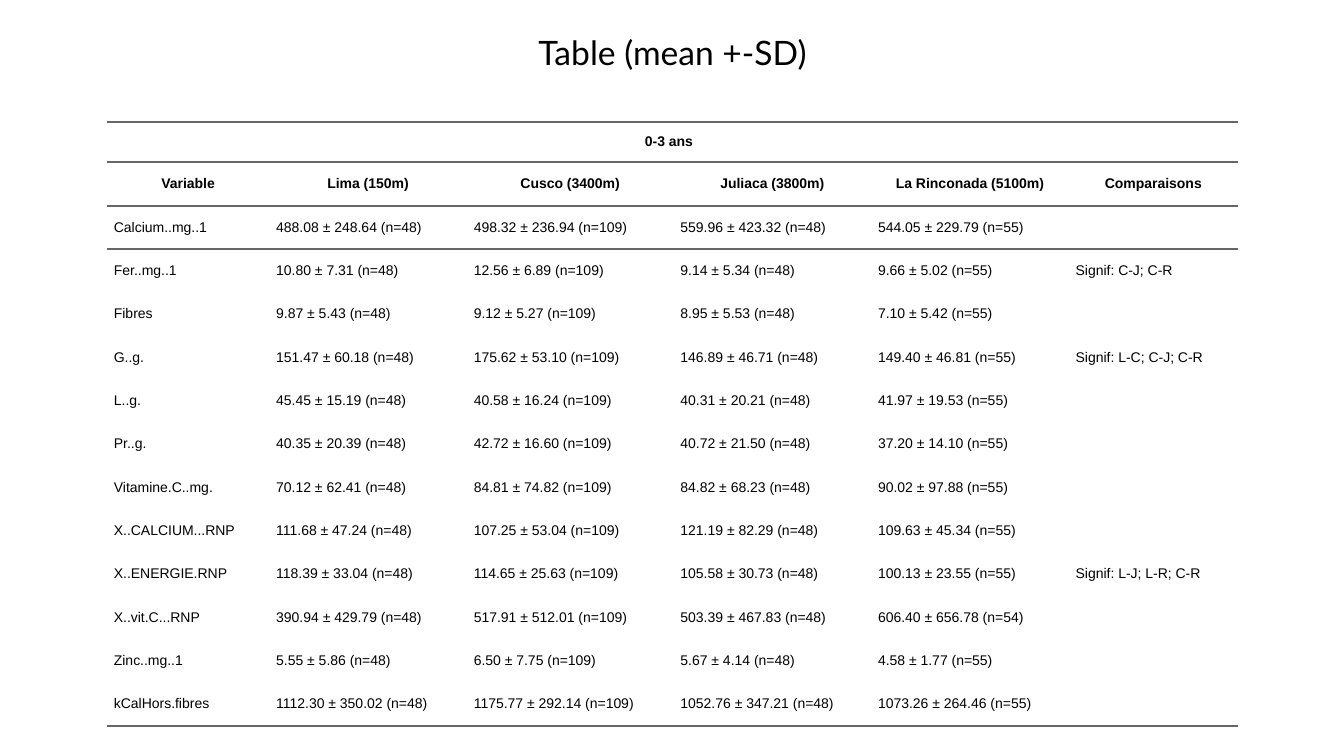
from lxml.etree import SubElement
from pptx import Presentation
from pptx.dml.color import RGBColor
from pptx.enum.text import MSO_ANCHOR as Anchor, PP_ALIGN as Align
from pptx.oxml.ns import qn
from pptx.util import Inches, Pt

TITLE = "Table (mean +-SD)"
AGE_GROUP = "0-3 ans"
HEADERS = ["Variable", "Lima (150m)", "Cusco (3400m)", "Juliaca (3800m)",
           "La Rinconada (5100m)", "Comparaisons"]
NUTRIENTS = [
    ("Calcium..mg..1", "488.08 ± 248.64 (n=48)", "498.32 ± 236.94 (n=109)",
     "559.96 ± 423.32 (n=48)", "544.05 ± 229.79 (n=55)", ""),
    ("Fer..mg..1", "10.80 ± 7.31 (n=48)", "12.56 ± 6.89 (n=109)",
     "9.14 ± 5.34 (n=48)", "9.66 ± 5.02 (n=55)", "Signif: C-J; C-R"),
    ("Fibres", "9.87 ± 5.43 (n=48)", "9.12 ± 5.27 (n=109)",
     "8.95 ± 5.53 (n=48)", "7.10 ± 5.42 (n=55)", ""),
    ("G..g.", "151.47 ± 60.18 (n=48)", "175.62 ± 53.10 (n=109)",
     "146.89 ± 46.71 (n=48)", "149.40 ± 46.81 (n=55)", "Signif: L-C; C-J; C-R"),
    ("L..g.", "45.45 ± 15.19 (n=48)", "40.58 ± 16.24 (n=109)",
     "40.31 ± 20.21 (n=48)", "41.97 ± 19.53 (n=55)", ""),
    ("Pr..g.", "40.35 ± 20.39 (n=48)", "42.72 ± 16.60 (n=109)",
     "40.72 ± 21.50 (n=48)", "37.20 ± 14.10 (n=55)", ""),
    ("Vitamine.C..mg.", "70.12 ± 62.41 (n=48)", "84.81 ± 74.82 (n=109)",
     "84.82 ± 68.23 (n=48)", "90.02 ± 97.88 (n=55)", ""),
    ("X..CALCIUM...RNP", "111.68 ± 47.24 (n=48)", "107.25 ± 53.04 (n=109)",
     "121.19 ± 82.29 (n=48)", "109.63 ± 45.34 (n=55)", ""),
    ("X..ENERGIE.RNP", "118.39 ± 33.04 (n=48)", "114.65 ± 25.63 (n=109)",
     "105.58 ± 30.73 (n=48)", "100.13 ± 23.55 (n=55)", "Signif: L-J; L-R; C-R"),
    ("X..vit.C...RNP", "390.94 ± 429.79 (n=48)", "517.91 ± 512.01 (n=109)",
     "503.39 ± 467.83 (n=48)", "606.40 ± 656.78 (n=54)", ""),
    ("Zinc..mg..1", "5.55 ± 5.86 (n=48)", "6.50 ± 7.75 (n=109)",
     "5.67 ± 4.14 (n=48)", "4.58 ± 1.77 (n=55)", ""),
    ("kCalHors.fibres", "1112.30 ± 350.02 (n=48)", "1175.77 ± 292.14 (n=109)",
     "1052.76 ± 347.21 (n=48)", "1073.26 ± 264.46 (n=55)", ""),
]
ROWS = [["", AGE_GROUP, "", "", "", ""], HEADERS, *NUTRIENTS]

COLORS = {"text": "000000", "rule": "666666"}
WIDTH, HEIGHT = 13.33, 7.5
TABLE_LEFT, TABLE_TOP = 1.06, 1.21
COLUMN_WIDTHS = [1.61, 1.96, 2.05, 1.96, 1.96, 1.68]
ROW_HEIGHTS = [0.4] + [0.43] * (len(ROWS) - 1)
HEADER_ROWS = 2
RULED_EDGES = {0, 1, 2, len(ROWS)}
PLAIN_STYLE = "{2D5ABB26-0587-4C30-8999-92F81FD0307C}"

TITLE_FONT = {"name": "Lato", "size": Pt(24)}
BODY_FONT = {"name": "Arial", "size": Pt(10), "bold": False}
HEADER_FONT = {**BODY_FONT, "bold": True}
CELL_FORMAT = {"vertical_anchor": Anchor.MIDDLE, "margin_top": 0, "margin_bottom": 0,
               "margin_left": Inches(0.07), "margin_right": Inches(0.07)}
TITLE_FRAME = {"word_wrap": True, "vertical_anchor": Anchor.MIDDLE}
PLAIN_TABLE = {"first_row": False, "horz_banding": False}


def apply(target, values):
    for name, value in values.items():
        setattr(target, name, value)


def write(paragraph, text, font, alignment):
    paragraph.alignment = alignment
    run = paragraph.add_run()
    run.text = text
    apply(run.font, font)
    run.font.color.rgb = RGBColor.from_string(COLORS["text"])


def add_rule(cell, tag):
    line = SubElement(cell._tc.get_or_add_tcPr(), qn(tag), w=str(Pt(1.5)))
    fill = SubElement(line, qn("a:solidFill"))
    SubElement(fill, qn("a:srgbClr"), val=COLORS["rule"])


def add_title(slide):
    box = slide.shapes.add_textbox(Inches(0.46), Inches(-0.18), Inches(12.42), Inches(1.45))
    apply(box.text_frame, TITLE_FRAME)
    paragraph = box.text_frame.paragraphs[0]
    paragraph.line_spacing = 0.9
    write(paragraph, TITLE, TITLE_FONT, Align.CENTER)


def add_nutrient_table(slide):
    frame = slide.shapes.add_table(
        len(ROWS), len(HEADERS), Inches(TABLE_LEFT), Inches(TABLE_TOP),
        Inches(sum(COLUMN_WIDTHS)), Inches(sum(ROW_HEIGHTS)))
    table = frame.table
    apply(table, PLAIN_TABLE)
    table._tbl.tblPr.find(qn("a:tableStyleId")).text = PLAIN_STYLE
    for column, width in zip(table.columns, COLUMN_WIDTHS):
        column.width = Inches(width)
    for row, height in zip(table.rows, ROW_HEIGHTS):
        row.height = Inches(height)
    table.cell(0, 1).merge(table.cell(0, 4))

    for row_index, texts in enumerate(ROWS):
        is_header = row_index < HEADER_ROWS
        font = HEADER_FONT if is_header else BODY_FONT
        alignment = Align.CENTER if is_header else Align.LEFT
        for column_index, text in enumerate(texts):
            cell = table.cell(row_index, column_index)
            apply(cell, CELL_FORMAT)
            for edge, tag in ((row_index, "a:lnT"), (row_index + 1, "a:lnB")):
                if edge in RULED_EDGES:
                    add_rule(cell, tag)
            cell.fill.background()
            if text:
                write(cell.text_frame.paragraphs[0], text, font, alignment)


def main():
    presentation = Presentation()
    presentation.slide_width = Inches(WIDTH)
    presentation.slide_height = Inches(HEIGHT)
    slide = presentation.slides.add_slide(presentation.slide_layouts[6])
    add_title(slide)
    add_nutrient_table(slide)
    presentation.save("out.pptx")


if __name__ == "__main__":
    main()
